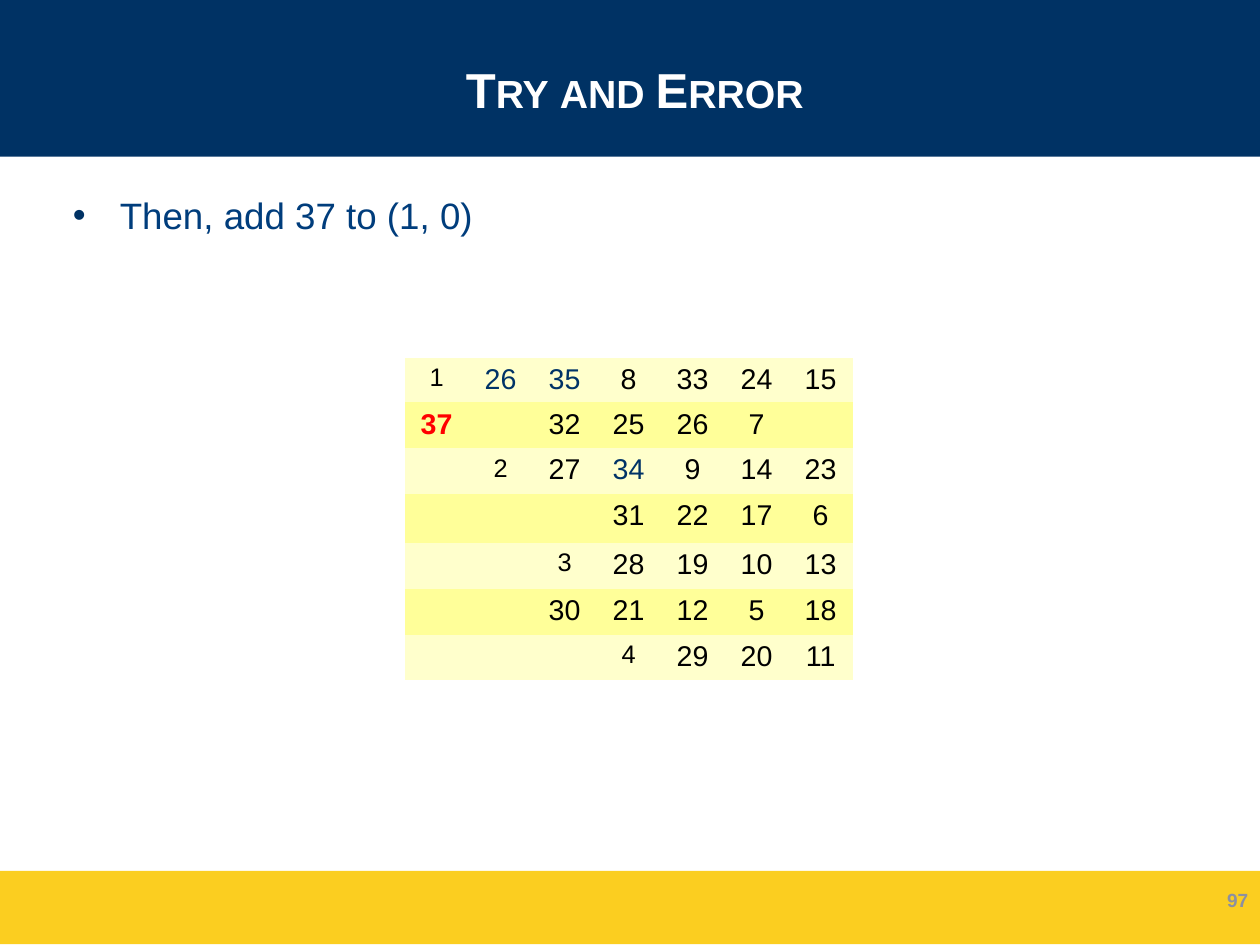
from lxml import etree
from pptx import Presentation
from pptx.dml.color import RGBColor
from pptx.enum.shapes import MSO_SHAPE
from pptx.enum.text import MSO_ANCHOR, PP_ALIGN
from pptx.oxml.ns import qn
from pptx.util import Inches, Pt

RECTANGLE = MSO_SHAPE.RECTANGLE
TOP, MIDDLE = MSO_ANCHOR.TOP, MSO_ANCHOR.MIDDLE
LEFT, CENTER, RIGHT = PP_ALIGN.LEFT, PP_ALIGN.CENTER, PP_ALIGN.RIGHT

# The slide measures 28 by 21 centimetres
WIDTH, HEIGHT = 28 / 2.54, 21 / 2.54
FONT = "Arial"
NO_GRID_STYLE = "{2D5ABB26-0587-4C30-8999-92F81FD0307C}"
COLORS = {
    "navy": "003264", "yellow": "FBCE20", "white": "FFFFFF",
    "body": "003D7C", "number": "8C90A0", "black": "000000",
    "blue": "003366", "red": "FF0000",
    "pale row": "FFFFCC", "strong row": "FFFF99",
}

SQUARE = [
    [1, 26, 35, 8, 33, 24, 15],
    [37, None, 32, 25, 26, 7, None],
    [None, 2, 27, 34, 9, 14, 23],
    [None, None, None, 31, 22, 17, 6],
    [None, None, 3, 28, 19, 10, 13],
    [None, None, 30, 21, 12, 5, 18],
    [None, None, None, 4, 29, 20, 11],
]
ROW_HEIGHTS = [0.39, 0.39, 0.4, 0.43, 0.4, 0.4, 0.4]
COLUMN_WIDTH = 0.56
SMALL_NUMBERS = {1, 2, 3, 4}
BLUE_CELLS = {(0, 1), (0, 2), (2, 3)}
NEW_CELL = (1, 0)


def color(name):
    return RGBColor.from_string(COLORS[name])


def write_text(frame, text, size, color_name, bold=False, align=LEFT,
               line_spacing=None, small_caps=False):
    """Write one formatted paragraph and return it."""
    paragraph = frame.paragraphs[0]
    paragraph.alignment = align
    if line_spacing:
        paragraph.line_spacing = line_spacing
    run = paragraph.add_run()
    run.text = text
    run.font.name = FONT
    run.font.size = Pt(size)
    run.font.bold = bold
    run.font.color.rgb = color(color_name)
    if small_caps:
        run.font._element.set("cap", "small")
    return paragraph


def add_band(slide, top, height, color_name):
    band = slide.shapes.add_shape(
        RECTANGLE, 0, Inches(top), Inches(WIDTH), Inches(height))
    band.shadow.inherit = False
    band.fill.solid()
    band.fill.fore_color.rgb = color(color_name)
    band.line.fill.background()


def add_text_box(slide, left, top, width, height, text, anchor=MIDDLE, **text_format):
    box = slide.shapes.add_textbox(
        Inches(left), Inches(top), Inches(width), Inches(height))
    frame = box.text_frame
    frame.word_wrap = True
    frame.vertical_anchor = anchor
    return write_text(frame, text, **text_format)


def add_bullet(paragraph, indent, color_name):
    properties = paragraph._p.get_or_add_pPr()
    properties.set("marL", str(Inches(indent)))
    properties.set("indent", str(-Inches(indent)))
    bullet_color = etree.SubElement(properties, qn("a:buClr"))
    etree.SubElement(bullet_color, qn("a:srgbClr"), val=COLORS[color_name])
    etree.SubElement(properties, qn("a:buFont"), typeface=FONT)
    etree.SubElement(properties, qn("a:buChar"), char="•")


def number_color(position):
    if position == NEW_CELL:
        return "red"
    return "blue" if position in BLUE_CELLS else "black"


def add_square(slide, left, top):
    columns = len(SQUARE[0])
    table_shape = slide.shapes.add_table(
        len(SQUARE), columns, Inches(left), Inches(top),
        Inches(columns * COLUMN_WIDTH), Inches(sum(ROW_HEIGHTS)))
    table = table_shape.table
    table._tbl.tblPr.find(qn("a:tableStyleId")).text = NO_GRID_STYLE
    for column in table.columns:
        column.width = Inches(COLUMN_WIDTH)
    for row, numbers in enumerate(SQUARE):
        table.rows[row].height = Inches(ROW_HEIGHTS[row])
        for column, number in enumerate(numbers):
            cell = table.cell(row, column)
            cell.fill.solid()
            cell.fill.fore_color.rgb = color("strong row" if row % 2 else "pale row")
            if number is None:
                continue
            cell.margin_top = Inches(0.07)
            cell.margin_bottom = Inches(0.03)
            position = (row, column)
            write_text(cell.text_frame, str(number),
                       size=16 if number in SMALL_NUMBERS else 18,
                       color_name=number_color(position),
                       bold=position == NEW_CELL,
                       align=CENTER, line_spacing=0.93)


def main():
    presentation = Presentation()
    presentation.slide_width = Inches(WIDTH)
    presentation.slide_height = Inches(HEIGHT)
    slide = presentation.slides.add_slide(presentation.slide_layouts[6])

    # Footer and header bands
    add_band(slide, 7.62, 0.64, "yellow")
    add_band(slide, 0, 1.37, "navy")

    # Title and body
    add_text_box(slide, 0.54, 0.18, 10.03, 1.19, "Try and Error", size=30.9,
                 color_name="white", bold=True, align=CENTER, small_caps=True)
    body = add_text_box(slide, 0.54, 1.64, 10.03, 6.03, "Then, add 37 to (1, 0)",
                        anchor=TOP, size=23.1, color_name="body")
    add_bullet(body, 0.41, "navy")

    # Slide number
    add_text_box(slide, 8.45, 7.66, 2.57, 0.44, "97", size=12, color_name="number",
                 bold=True, align=RIGHT, line_spacing=0.93)

    # Number square
    add_square(slide, 3.54, 3.13)

    presentation.save("out.pptx")


if __name__ == "__main__":
    main()
